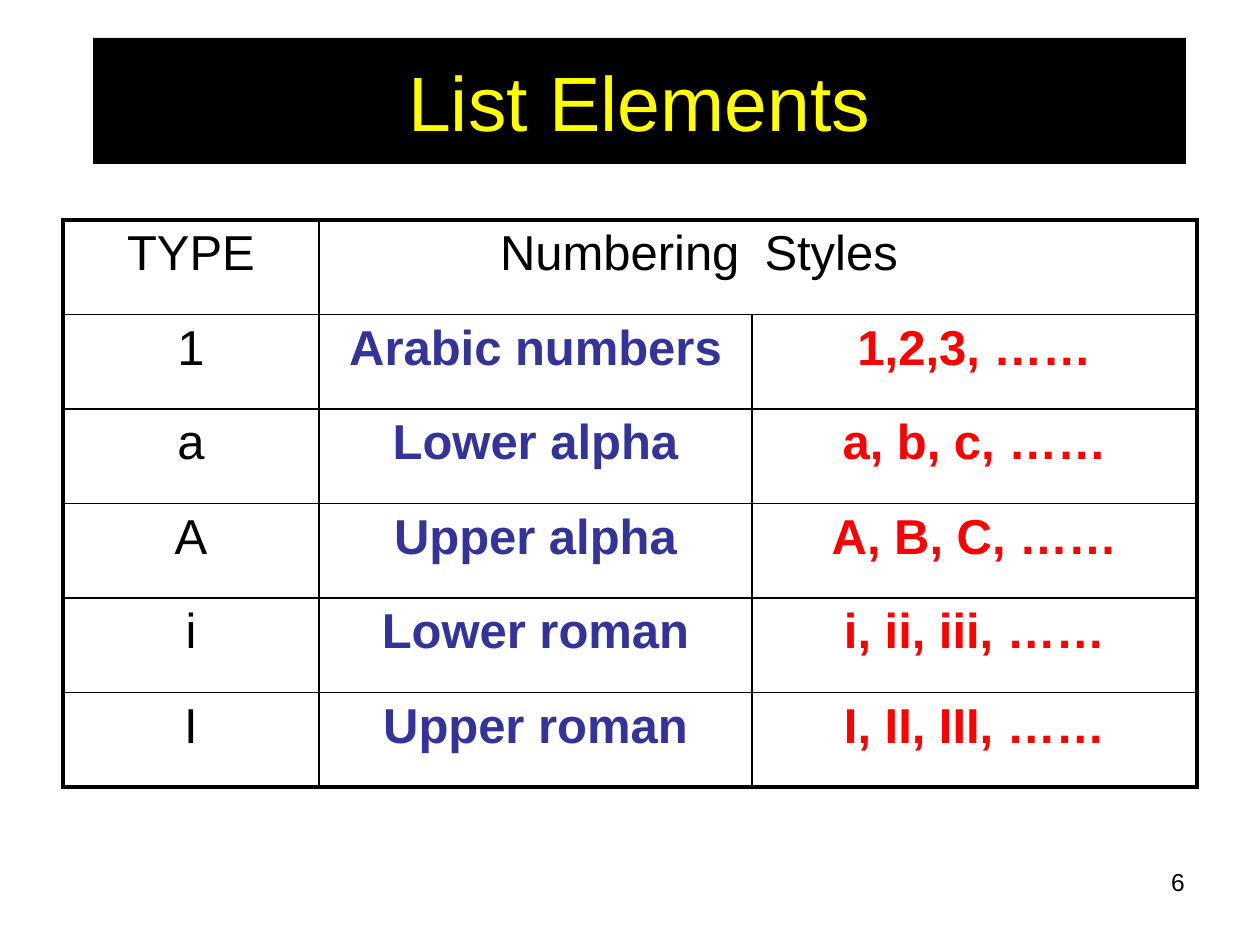
import pptx
import pptx.dml.color
import pptx.enum.text
import pptx.oxml
import pptx.oxml.ns
import pptx.util

SCALE = 914400 / 126
ALIGN = pptx.enum.text.PP_ALIGN
MIDDLE = pptx.enum.text.MSO_ANCHOR.MIDDLE
BLACK, BLUE, RED, YELLOW = "000000", "333399", "FF0000", "FFFF00"
THIN, THICK = 1, 2.25
COLS = (256, 433, 445)
HEAD = ("TYPE", "Numbering", "Styles")
HEAD_ALIGN = (ALIGN.CENTER, ALIGN.RIGHT, ALIGN.LEFT)
BODY = (
    ("1", "Arabic numbers", "1,2,3, ……"),
    ("a", "Lower alpha", "a, b, c, ……"),
    ("A", "Upper alpha", "A, B, C, ……"),
    ("i", "Lower roman", "i, ii, iii, ……"),
    ("I", "Upper roman", "I, II, III, ……"),
)
INK = (BLACK, BLUE, RED)


def px(num):
    """Turn pixels into EMU."""
    return round(num * SCALE)


def rgb(code):
    """Turn a hex string into a colour."""
    return pptx.dml.color.RGBColor.from_string(code)


def write(frame, text, size, ink, align, bold=False):
    """Put one line of formatted text into a frame."""
    para = frame.paragraphs[0]
    para.alignment = align
    run = para.add_run()
    run.text = text
    form = {"name": "Arial", "size": pptx.util.Pt(size), "bold": bold}
    for key, value in form.items():
        setattr(run.font, key, value)
    run.font.color.rgb = rgb(ink)


def edge(cell, widths):
    """Draw the left, right, top and bottom borders of a cell."""
    props = cell._tc.get_or_add_tcPr()
    space = pptx.oxml.ns.nsdecls("a")
    for spot, (side, width) in enumerate(zip("LRTB", widths)):
        paint = f'<a:solidFill><a:srgbClr val="{BLACK}"/></a:solidFill>' if width else "<a:noFill/>"
        line = f'<a:ln{side} {space} w="{pptx.util.Pt(width)}">{paint}</a:ln{side}>'
        props.insert(spot, pptx.oxml.parse_xml(line))


def banner(slide, box):
    """Place the title on its black bar."""
    title = slide.shapes.title
    for key, value in zip(("left", "top", "width", "height"), box):
        setattr(title, key, px(value))
    title.fill.solid()
    title.fill.fore_color.rgb = rgb(BLACK)
    title.text_frame.vertical_anchor = MIDDLE
    write(title.text_frame, "List Elements", 44, YELLOW, ALIGN.CENTER)


def grid(slide, box):
    """Place the table of numbering styles."""
    rows = (HEAD,) + BODY
    table = slide.shapes.add_table(len(rows), len(COLS), *map(px, box)).table
    table.first_row = table.horz_banding = False
    for col, width in zip(table.columns, COLS):
        col.width = px(width)
    last, end = len(rows) - 1, len(COLS) - 1
    for i, texts in enumerate(rows):
        table.rows[i].height = px(box[3] / len(rows))
        for j, text in enumerate(texts):
            cell = table.cell(i, j)
            cell.fill.background()
            align = ALIGN.CENTER if i else HEAD_ALIGN[j]
            write(cell.text_frame, text, 28, INK[j] if i else BLACK, align, i > 0 and j > 0)
            left = THICK if j == 0 else 0 if (i, j) == (0, 2) else THIN
            right = THICK if j == end else 0 if (i, j) == (0, 1) else THIN
            edge(cell, (left, right, THIN if i else THICK, THICK if i == last else THIN))


def number(slide, box):
    """Place the slide number."""
    frame = slide.shapes.add_textbox(*map(px, box)).text_frame
    frame.word_wrap = True
    write(frame, "6", 14, BLACK, ALIGN.RIGHT)


def main():
    """Build and save the slide."""
    deck = pptx.Presentation()
    deck.slide_width, deck.slide_height = px(1260), px(945)
    slide = deck.slides.add_slide(deck.slide_layouts[5])
    number(slide, (903, 861, 294, 66))
    banner(slide, (93, 38, 1093, 126))
    grid(slide, (63, 220, 1134, 567))
    deck.save("out.pptx")


if __name__ == "__main__":
    main()
